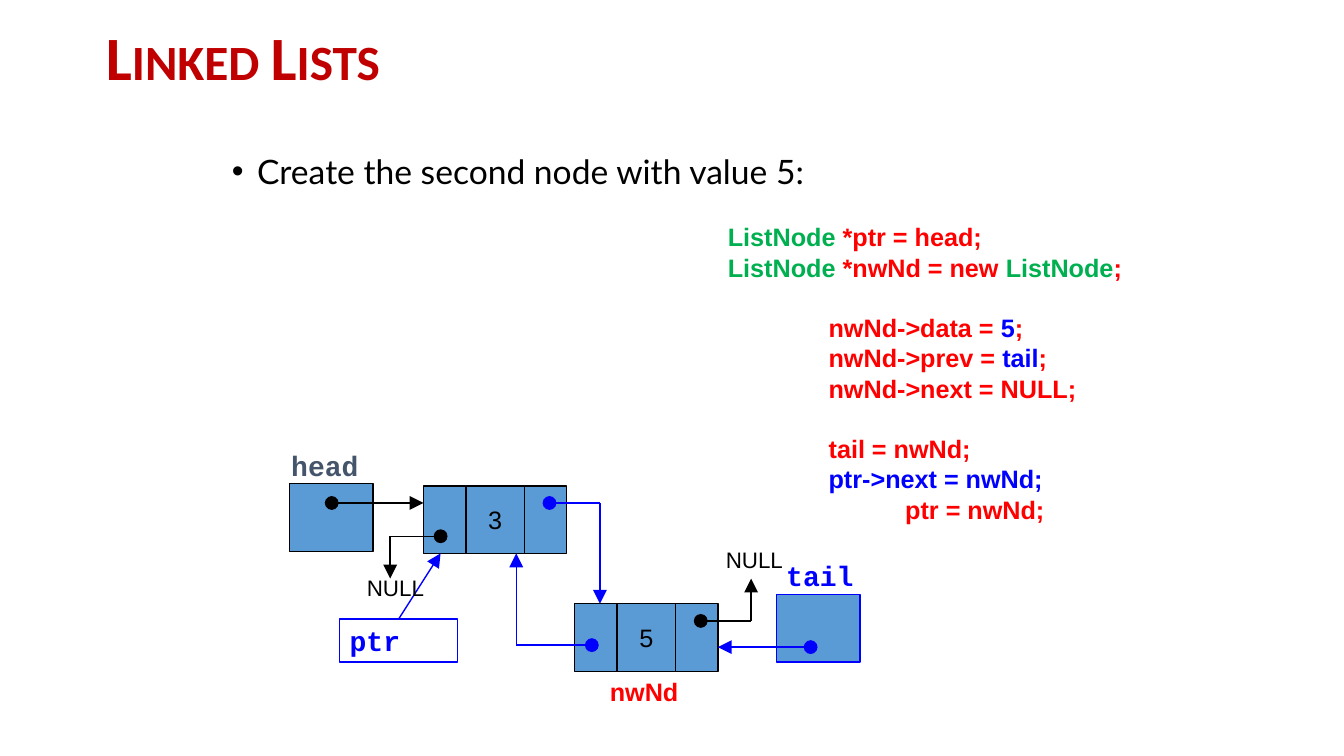
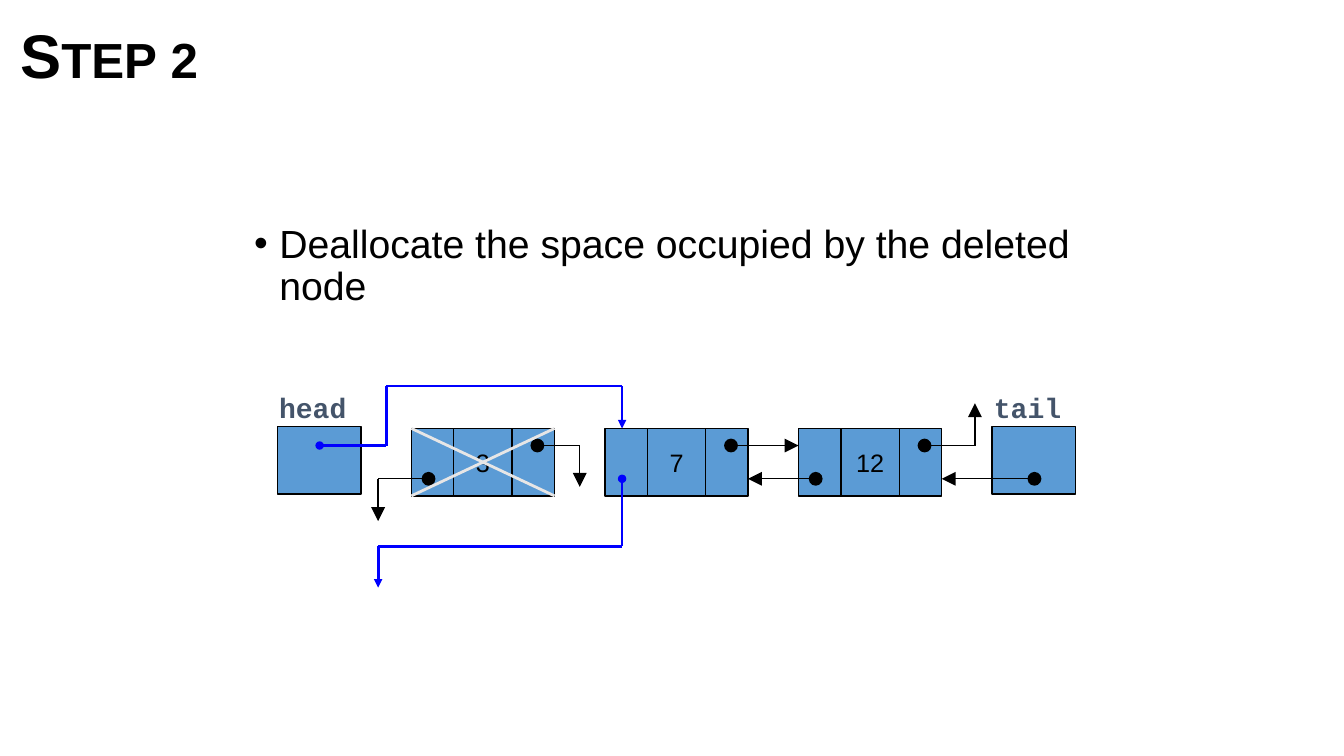
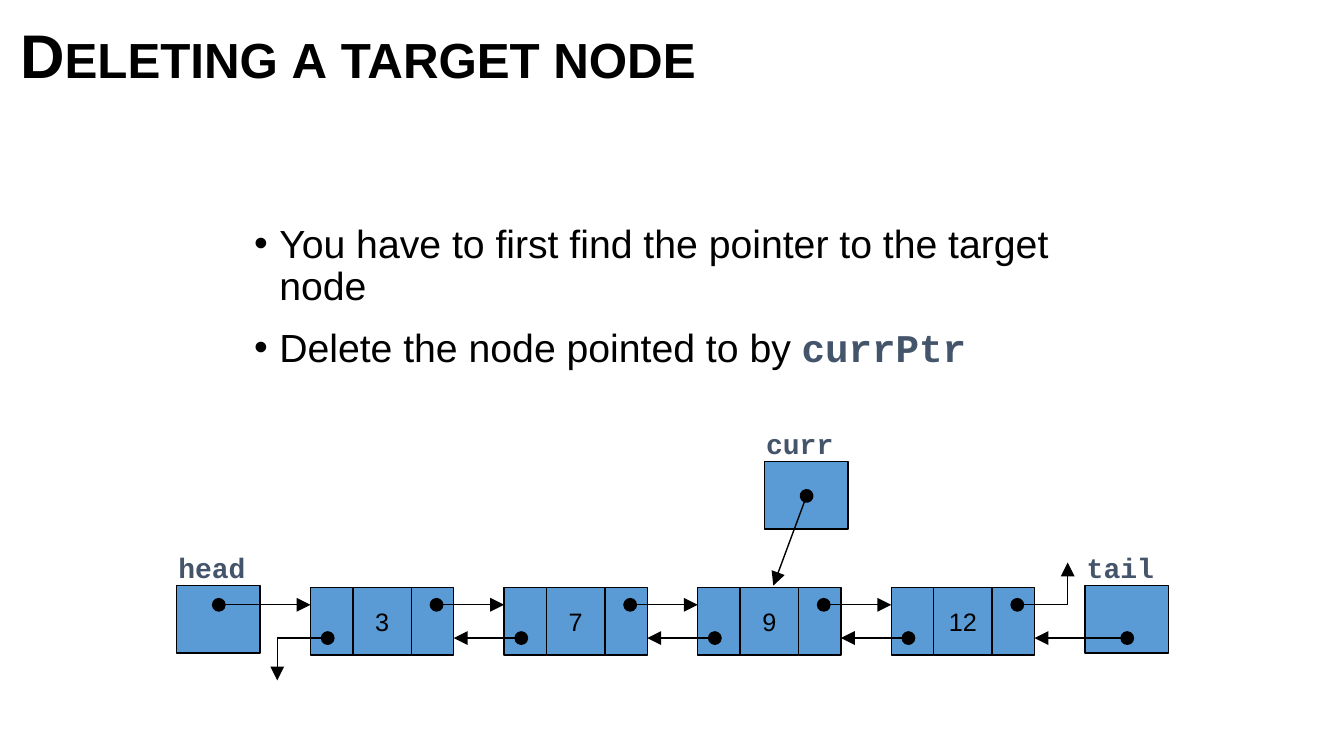
from dataclasses import dataclass
from itertools import pairwise
from typing import Optional

from lxml.etree import SubElement
from pptx import Presentation
from pptx.dml.color import RGBColor
from pptx.enum.shapes import MSO_CONNECTOR as CONN, MSO_SHAPE as SHAPE
from pptx.enum.text import MSO_ANCHOR as ANCHOR, MSO_AUTO_SIZE as AUTOSIZE, PP_ALIGN as ALIGN
from pptx.oxml.ns import qn
from pptx.util import Inches, Pt

COLORS = {
    "black": "000000", "red": "FF0000", "title_red": "C00000", "green": "00B050",
    "blue": "0000FF", "box": "5B9BD5", "slate": "44546A", "cross": "E7E6E6",
}
CODE_FONT = "Courier New"
LINK_W, VALUE_W, CELL_H = 0.42, 0.58, 0.67
NODE_W = 2 * LINK_W + VALUE_W
PITCH = 1.92
NEXT_X, NEXT_Y = 1.25, 0.17
PREV_X, PREV_Y = 0.17, 0.5
BOX_W = 0.83
CODE_LEADING = Pt(21.6)


@dataclass
class Style:
    size: float
    color: str = "black"
    font: str = "Arial"
    bold: bool = False


@dataclass
class Run:
    text: str
    color: str
    font: Optional[str] = None
    bold: Optional[bool] = None


@dataclass
class CodeLine:
    runs: list
    indent: float = 0
    gap: bool = False


@dataclass
class Node:
    x: float
    y: float
    value: str

    @property
    def right(self) -> float:
        return self.x + NODE_W

    @property
    def next_dot(self) -> tuple:
        return self.x + NEXT_X, self.y + NEXT_Y

    @property
    def prev_dot(self) -> tuple:
        return self.x + PREV_X, self.y + PREV_Y


LABEL = Style(20, "slate", CODE_FONT, True)
BLUE_LABEL = Style(20, "blue", CODE_FONT, True)
VALUE = Style(18)
NULL = Style(16)


def rgb(name: str) -> RGBColor:
    return RGBColor.from_string(COLORS[name])


def set_font(font, style: Style) -> None:
    font.name, font.size, font.bold = style.font, Pt(style.size), style.bold
    font.color.rgb = rgb(style.color)


def add_runs(p, runs: list) -> None:
    for run in runs:
        r = p.add_run()
        r.text = run.text
        r.font.color.rgb = rgb(run.color)
        if run.font:
            r.font.name = run.font
        if run.bold is not None:
            r.font.bold = run.bold


def place(sp, left: float, top: float, width: float, height: float) -> None:
    sp.left, sp.top, sp.width, sp.height = map(Inches, (left, top, width, height))


def set_indent(p, left: float, first: float = 0) -> None:
    pPr = p._p.get_or_add_pPr()
    pPr.set("marL", str(Inches(left)))
    pPr.set("indent", str(Inches(first)))


def start_slide(prs, title: str, title_box: tuple, title_style: Style,
                bullets: list, body_box: tuple, body_style: Style):
    """Add a slide with its small-caps title and bulleted body."""
    s = prs.slides.add_slide(prs.slide_layouts[1])
    sp = s.shapes.title
    place(sp, *title_box)
    tf = sp.text_frame
    tf.auto_size, tf.vertical_anchor = AUTOSIZE.NONE, ANCHOR.MIDDLE
    tf.text = title
    p = tf.paragraphs[0]
    p.alignment, p.line_spacing = ALIGN.LEFT, 0.9
    set_font(p.font, title_style)
    p._p.pPr.find(qn("a:defRPr")).set("cap", "small")

    sp = s.placeholders[1]
    place(sp, *body_box)
    tf = sp.text_frame
    tf.auto_size = AUTOSIZE.NONE
    for i, runs in enumerate(bullets):
        p = tf.add_paragraph() if i else tf.paragraphs[0]
        p.alignment, p.line_spacing = ALIGN.LEFT, Pt(round(body_style.size * 1.08, 1))
        p.space_before, p.space_after = Pt(10 if i else 0), Pt(4)
        set_indent(p, 0.25, -0.25)
        set_font(p.font, body_style)
        add_runs(p, runs)
    return s


def add_label(s, text: str, left: float, top: float, style: Style = LABEL,
              width: float = 1.17, height: float = 0.43) -> None:
    tf = s.shapes.add_textbox(*map(Inches, (left, top, width, height))).text_frame
    tf.word_wrap = True
    tf.text = text
    set_font(tf.paragraphs[0].font, style)


def add_box(s, left: float, top: float, width: float = BOX_W, height: float = CELL_H,
            fill: Optional[str] = "box", line: str = "black"):
    sp = s.shapes.add_shape(SHAPE.RECTANGLE, *map(Inches, (left, top, width, height)))
    sp.shadow.inherit = False
    if fill:
        sp.fill.solid()
        sp.fill.fore_color.rgb = rgb(fill)
    else:
        sp.fill.background()
    sp.line.color.rgb, sp.line.width = rgb(line), Pt(1)
    return sp


def add_node(s, node: Node) -> None:
    """Draw the prev, value and next cells of a list node."""
    value = add_box(s, node.x + LINK_W, node.y, VALUE_W)
    tf = value.text_frame
    tf.word_wrap, tf.vertical_anchor = False, ANCHOR.MIDDLE
    tf.text = node.value
    p = tf.paragraphs[0]
    p.alignment = ALIGN.CENTER
    set_font(p.font, VALUE)
    for x in (node.x, node.x + LINK_W + VALUE_W):
        add_box(s, x, node.y, LINK_W)


def add_wire(s, *points: tuple, color: str = "black", width: float = 1,
             dot: bool = True, arrow: bool = True, source=None) -> None:
    """Join the points by straight lines, with a dot first and an arrow last."""
    size = "lg" if width == 1 else "med"
    segments = list(pairwise(points))
    for i, (start, end) in enumerate(segments):
        c = s.shapes.add_connector(CONN.STRAIGHT, *map(Inches, (*start, *end)))
        if source is not None and i == 0:
            c.begin_connect(source, 0)
        c.line.color.rgb, c.line.width = rgb(color), Pt(width)
        spPr = c._element.spPr
        ln = spPr.find(qn("a:ln"))
        if dot and i == 0:
            SubElement(ln, qn("a:headEnd"), type="oval", w=size, len=size)
        if arrow and i == len(segments) - 1:
            SubElement(ln, qn("a:tailEnd"), type="triangle", w=size, len=size)
        SubElement(spPr, qn("a:effectLst"))


def wire_next(s, node: Node) -> None:
    add_wire(s, node.next_dot, (node.x + PITCH, node.y + NEXT_Y))


def wire_prev(s, node: Node) -> None:
    add_wire(s, node.prev_dot, (node.x - PITCH + NODE_W, node.y + PREV_Y))


def wire_null_prev(s, node: Node) -> None:
    x, y = node.prev_dot
    add_wire(s, (x, y), (x - 0.5, y), (x - 0.5, y + 0.42))


def wire_null_next(s, node: Node) -> None:
    x, y = node.next_dot
    add_wire(s, (x, y), (x + 0.5, y), (x + 0.5, y - 0.42))


def add_pointer(s, name: str, left: float, top: float) -> None:
    add_box(s, left, top)
    add_label(s, name, left - 0.08, top - 0.4)


def add_row(s, nodes: list) -> None:
    """Draw a row of nodes between its head and tail pointers."""
    first, last = nodes[0], nodes[-1]
    add_pointer(s, "head", first.x - 1.33, first.y - 0.02)
    add_pointer(s, "tail", last.right + 0.5, last.y - 0.02)
    for node in nodes:
        add_node(s, node)
    wire_null_prev(s, first)
    wire_null_next(s, last)
    y = last.y + PREV_Y
    add_wire(s, (last.right + 0.92, y), (last.right, y))


def add_code(s, lines: list) -> None:
    tf = s.shapes.add_textbox(*map(Inches, (7.12, 2.15, 4.75, 3.13))).text_frame
    tf.word_wrap = True
    for i, line in enumerate(lines):
        p = tf.add_paragraph() if i else tf.paragraphs[0]
        p.line_spacing = CODE_LEADING
        if line.gap:
            p.space_before = CODE_LEADING
        set_indent(p, line.indent)
        set_font(p.font, Style(18, "red", bold=True))
        add_runs(p, line.runs)


def build_insert_slide(prs) -> None:
    s = start_slide(prs, "Linked Lists", (0.95, -0.02, 9, 1.25),
                    Style(44, "title_red", "Calibri", True),
                    [[Run("Create the second node with value 5:", "black")]],
                    (2.2, 1.49, 8.67, 2.08), Style(24, font="Lato"))
    node_type = Run("ListNode", "green")
    add_code(s, [
        CodeLine([node_type, Run(" *ptr = head;", "red")]),
        CodeLine([node_type, Run(" *nwNd = new ", "red"), node_type, Run(";", "red")]),
        CodeLine([Run("nwNd->data = ", "red"), Run("5", "blue"), Run(";", "red")], 1, True),
        CodeLine([Run("nwNd->prev = ", "red"), Run("tail", "blue"), Run(";", "red")], 1),
        CodeLine([Run("nwNd->next = NULL;", "red")], 1),
        CodeLine([Run("tail = nwNd;", "red")], 1, True),
        CodeLine([Run("ptr->next = nwNd;", "blue")], 1),
        CodeLine([Run("ptr = nwNd;", "red")], 1.76),
    ])
    old, new = Node(4.2, 4.82, "3"), Node(5.7, 5.99, "5")
    add_pointer(s, "head", 2.87, 4.8)
    add_box(s, 7.7, 5.9, line="blue")
    add_label(s, "tail", 7.7, 5.49, BLUE_LABEL)
    for node in (old, new):
        add_node(s, node)
    add_wire(s, (3.29, 4.99), (old.x, 4.99))
    wire_null_prev(s, old)
    wire_null_next(s, new)
    add_wire(s, old.next_dot, (5.95, 4.99), (5.95, new.y), color="blue")
    add_wire(s, (new.x + PREV_X, 6.4), (5.12, 6.4), (5.12, 5.49), color="blue")
    add_wire(s, (8.04, 6.42), (new.right, 6.42), color="blue")

    ptr_box = add_box(s, 3.37, 6.14, 1.17, 0.43, fill=None, line="blue")
    tf = ptr_box.text_frame
    tf.vertical_anchor = ANCHOR.TOP
    tf.text = "ptr"
    p = tf.paragraphs[0]
    p.alignment = ALIGN.LEFT
    set_font(p.font, BLUE_LABEL)
    add_wire(s, (3.95, 6.14), (4.37, 5.49), color="blue", dot=False, source=ptr_box)
    add_label(s, "nwNd", 5.95, 6.66, Style(18, "red", bold=True), 0.95, 0.4)
    for left, top in ((3.54, 5.65), (7.1, 5.37)):
        add_label(s, "NULL", left, top, NULL, 0.85, 0.37)


def start_step(prs, title: str, bullets: list, body_height: float):
    return start_slide(prs, title, (0.1, 0.11, 13.1, 0.95), Style(44, bold=True),
                       bullets, (2.42, 2.17, 8.5, body_height), Style(28))


def build_deallocate_slide(prs) -> None:
    s = start_step(prs, "Step 2",
                   [[Run("Deallocate the space occupied by the deleted node", "black")]], 1.17)
    nodes = [Node(4.08 + i * PITCH, 4.25, v) for i, v in enumerate(("3", "7", "12"))]
    deleted, middle, last = nodes
    add_row(s, nodes)
    wire_next(s, middle)
    wire_prev(s, last)
    add_wire(s, deleted.next_dot, (5.75, 4.42), (5.75, 4.83))
    add_wire(s, (3.17, 4.42), (3.83, 4.42), (3.83, 3.83), (6.17, 3.83), (6.17, middle.y),
             color="blue", width=2)
    add_wire(s, middle.prev_dot, (6.17, 5.42), (3.75, 5.42), (3.75, 5.83),
             color="blue", width=2)
    top, bottom = deleted.y, deleted.y + CELL_H
    for start, end in ((deleted.x, deleted.right), (deleted.right, deleted.x)):
        add_wire(s, (start, top), (end, bottom), color="cross", width=2,
                 dot=False, arrow=False)


def build_target_slide(prs) -> None:
    s = start_step(prs, "Deleting a target node", [
        [Run("You have to first find the pointer to the target node", "black")],
        [Run("Delete the node pointed to by ", "black"),
         Run("currPtr", "slate", CODE_FONT, True)],
    ], 2.33)
    nodes = [Node(3.08 + i * PITCH, 5.83, v) for i, v in enumerate(("3", "7", "9", "12"))]
    add_row(s, nodes)
    add_wire(s, (2.17, 6), (nodes[0].x, 6))
    for node, following in pairwise(nodes):
        wire_next(s, node)
        wire_prev(s, following)
    add_pointer(s, "curr", 7.58, 4.58)
    add_wire(s, (8, 4.92), (7.67, 5.81))


def main() -> None:
    prs = Presentation()
    prs.slide_width, prs.slide_height = Inches(13.33), Inches(7.5)
    build_insert_slide(prs)
    build_deallocate_slide(prs)
    build_target_slide(prs)
    prs.save("out.pptx")


if __name__ == "__main__":
    main()
